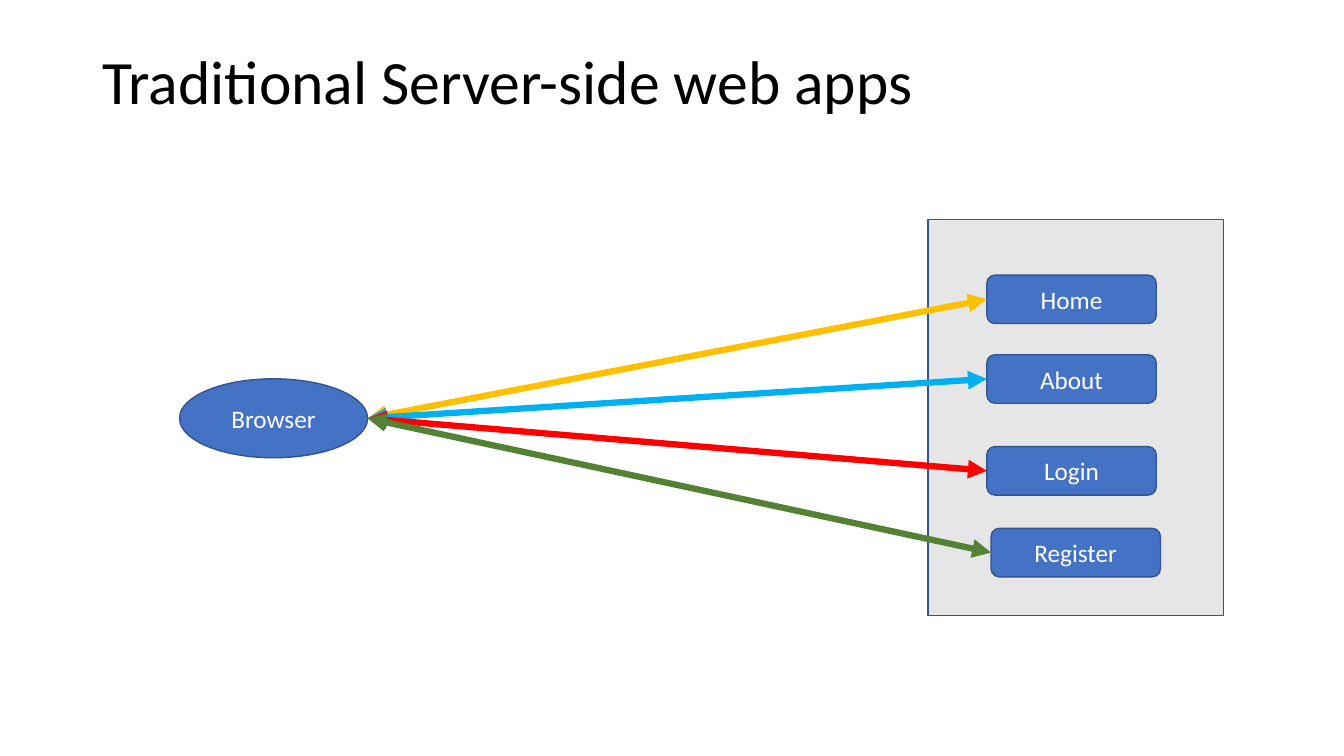
from lxml.etree import SubElement
from pptx import Presentation
from pptx.dml.color import RGBColor
from pptx.enum.shapes import MSO_CONNECTOR, MSO_SHAPE
from pptx.enum.text import MSO_ANCHOR, PP_ALIGN
from pptx.oxml.ns import qn
from pptx.util import Pt

FONT = "Calibri"
BLACK = RGBColor(0x00, 0x00, 0x00)
WHITE = RGBColor(0xFF, 0xFF, 0xFF)
BLUE = RGBColor(0x44, 0x72, 0xC4)
OUTLINE = RGBColor(0x32, 0x54, 0x91)
GRAY = RGBColor(0xE7, 0xE6, 0xE6)
AMBER = RGBColor(0xFF, 0xC0, 0x00)
SKY = RGBColor(0x00, 0xB0, 0xF0)
RED = RGBColor(0xFF, 0x00, 0x00)
GREEN = RGBColor(0x54, 0x82, 0x35)

PAGE_W, PAGE_H = 121, 34.6
LEFT_SITE = 1
# Page name, left, top, arrow colour
PAGES = [
    ("Home", 704.9, 196.5, AMBER),
    ("About", 704.9, 253.4, SKY),
    ("Login", 704.9, 319, RED),
    ("Register", 707.9, 377.4, GREEN),
]


def write(tf, text, size=18, color=WHITE, align=PP_ALIGN.CENTER, spacing=1.0):
    """Put one formatted, vertically centred paragraph in a text frame."""
    tf.word_wrap = True
    tf.vertical_anchor = MSO_ANCHOR.MIDDLE
    p = tf.paragraphs[0]
    p.alignment = align
    p.line_spacing = spacing
    r = p.add_run()
    r.text = text
    r.font.name = FONT
    r.font.size = Pt(size)
    r.font.color.rgb = color


class Diagram:
    """Style and current slide of the diagram."""

    def __init__(self, slide, line_width=1, arrow_width=4.5):
        """Keep the slide and the line widths."""
        self.slide = slide
        self.line_width = line_width
        self.arrow_width = arrow_width

    def title(self, text, x, y, w, h):
        """Move and fill the title placeholder."""
        sp = self.slide.shapes.title
        sp.left, sp.top, sp.width, sp.height = Pt(x), Pt(y), Pt(w), Pt(h)
        write(sp.text_frame, text, size=44, color=BLACK,
              align=PP_ALIGN.LEFT, spacing=0.9)

    def box(self, kind, x, y, w, h, text=None, fill=BLUE):
        """Add an outlined shape, with a label if given."""
        sp = self.slide.shapes.add_shape(kind, Pt(x), Pt(y), Pt(w), Pt(h))
        sp.shadow.inherit = False
        sp.fill.solid()
        sp.fill.fore_color.rgb = fill
        sp.line.color.rgb = OUTLINE
        sp.line.width = Pt(self.line_width)
        if text:
            write(sp.text_frame, text)
        return sp

    def arrow(self, source, target, color):
        """Join the source's right side to the target's left, heads at both ends."""
        x = source.left + source.width
        y = source.top + source.height // 2
        cxn = self.slide.shapes.add_connector(MSO_CONNECTOR.STRAIGHT, x, y, x, y)
        cxn.end_connect(target, LEFT_SITE)
        cxn.line.color.rgb = color
        cxn.line.width = Pt(self.arrow_width)
        ln = cxn.line._get_or_add_ln()
        for end in ("a:headEnd", "a:tailEnd"):
            SubElement(ln, qn(end), type="triangle")
        SubElement(cxn._element.spPr, qn("a:effectLst"))


prs = Presentation()
prs.slide_width, prs.slide_height = Pt(960), Pt(540)
s = prs.slides.add_slide(prs.slide_layouts[5])
diagram = Diagram(s)

diagram.title("Traditional Server-side web apps", 66, 28.8, 828, 62.6)
browser = diagram.box(MSO_SHAPE.OVAL, 128.2, 270.6, 134.4, 56.4, "Browser")
diagram.box(MSO_SHAPE.RECTANGLE, 663, 156.8, 211, 282.8, fill=GRAY)

pages = [diagram.box(MSO_SHAPE.ROUNDED_RECTANGLE, x, y, PAGE_W, PAGE_H, name)
         for name, x, y, _ in PAGES]
for page, (_, _, _, color) in zip(pages, PAGES):
    diagram.arrow(browser, page, color)

prs.save("out.pptx")
